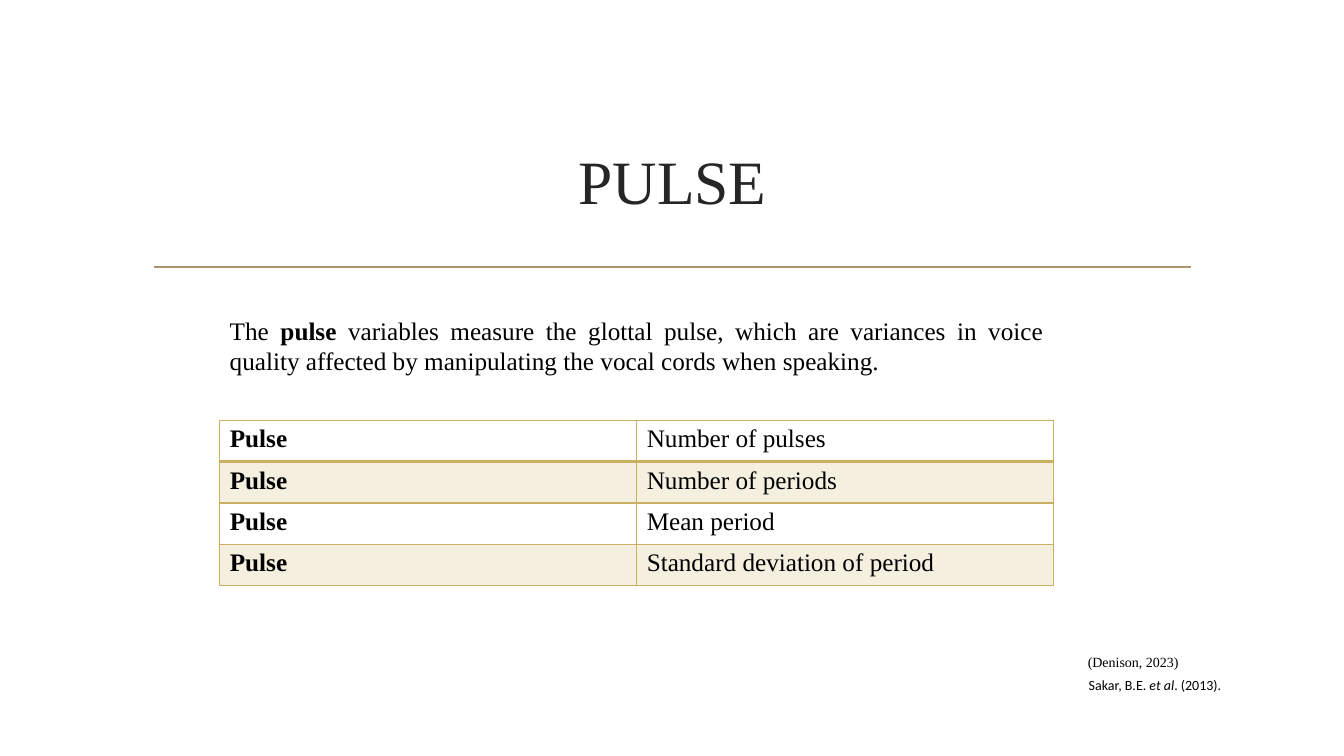
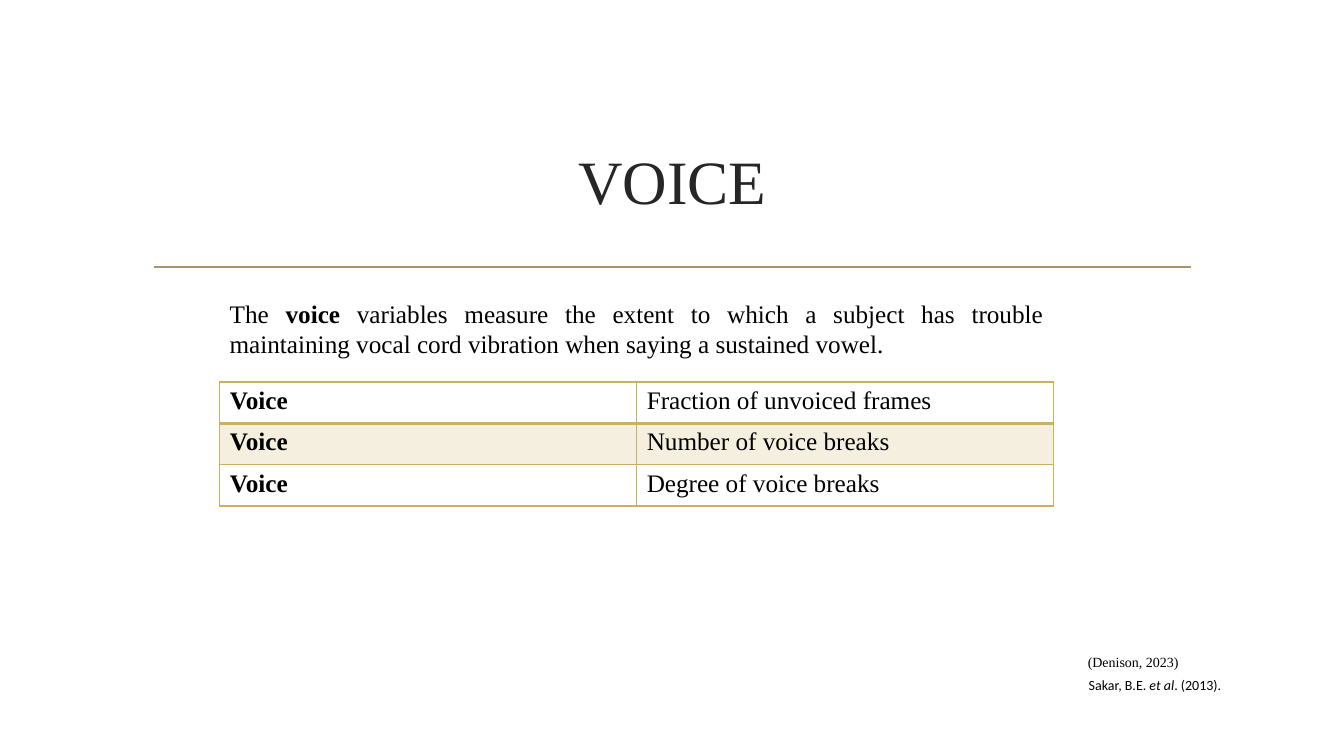
from lxml.etree import SubElement as Sub
from pptx import Presentation
from pptx.dml.color import RGBColor
from pptx.enum.shapes import MSO_CONNECTOR as Link
from pptx.enum.text import MSO_ANCHOR as Anchor, MSO_AUTO_SIZE as Fit, PP_ALIGN as Align
from pptx.oxml.ns import qn
from pptx.util import Inches, Pt

# Shared style
SERIF, SANS = "Times New Roman", "Calibri"
INK, BLACK, RULE, GOLD, CREAM = "262626", "000000", "AB946B", "CBAF62", "F5EFE0"
hue = RGBColor.from_string
LEFT, WIDE, ROW = 2.18, 8.27, 0.41

# Footer notes: left, top, width, font, runs (text, italic)
NOTES = [
    (10.7, 6.66, 1.64, SANS, [("Sakar, B.E. ", False), ("et al", True), (". (2013).", False)]),
    (10.69, 6.43, 1.18, SERIF, [("(Denison, 2023)", False)]),
]

# Slides: group, text top, table top, description, table entries
TOPICS = [
    ("Pulse", 3.08, 4.17,
     " variables measure the glottal pulse, which are variances in voice quality "
     "affected by manipulating the vocal cords when speaking.",
     ["Number of pulses", "Number of periods", "Mean period", "Standard deviation of period"]),
    ("Voice", 2.91, 3.79,
     " variables measure the extent to which a subject has trouble maintaining "
     "vocal cord vibration when saying a sustained vowel.",
     ["Fraction of unvoiced frames", "Number of voice breaks", "Degree of voice breaks"]),
]


def write(par, text, size=18, face=SERIF, color=BLACK, bold=False, italic=False):
    run = par.add_run()
    run.text = text
    font = run.font
    font.name, font.size, font.bold, font.italic = face, Pt(size), bold, italic
    font.color.rgb = hue(color)


def add_box(slide, left, top, width, height):
    box = slide.shapes.add_textbox(Inches(left), Inches(top), Inches(width), Inches(height))
    box.text_frame.word_wrap = True
    box.text_frame.auto_size = Fit.SHAPE_TO_FIT_TEXT
    return box.text_frame.paragraphs[0]


deck = Presentation()
deck.slide_width, deck.slide_height = Inches(13.33), Inches(7.5)

for group, text_top, grid_top, about, items in TOPICS:
    slide = deck.slides.add_slide(deck.slide_layouts[5])

    # Rule under the title
    rule = slide.shapes.add_connector(
        Link.STRAIGHT, Inches(1.53), Inches(2.65), Inches(11.81), Inches(2.65))
    rule.line.color.rgb = hue(RULE)
    rule.line.width = Pt(1.25)
    Sub(rule._element.spPr, qn("a:effectLst"))

    # Title
    title = slide.shapes.title
    title.left, title.top = Inches(1.42), Inches(1.07)
    title.width, title.height = Inches(10.5), Inches(1.43)
    title.text_frame.vertical_anchor = Anchor.MIDDLE
    par = title.text_frame.paragraphs[0]
    par.alignment = Align.CENTER
    write(par, group.upper(), 44, color=INK)

    # Description
    par = add_box(slide, LEFT, text_top, WIDE, 0.71)
    par.alignment = Align.JUSTIFY
    write(par, "The ")
    write(par, group.lower(), bold=True)
    write(par, about)

    # Table of variables
    grid = slide.shapes.add_table(
        len(items), 2, Inches(LEFT), Inches(grid_top),
        Inches(WIDE), Inches(ROW * len(items))).table
    grid.first_row = grid.horz_banding = False
    for r, item in enumerate(items):
        for c, text in enumerate((group, item)):
            cell = grid.cell(r, c)
            write(cell.text_frame.paragraphs[0], text, bold=c == 0)
            props = cell._tc.get_or_add_tcPr()
            for side in "LRTB":
                thick = (r, side) in ((0, "B"), (1, "T"))
                edge = Sub(props, qn(f"a:ln{side}"), w=str(Pt(2 if thick else 1)))
                Sub(Sub(edge, qn("a:solidFill")), qn("a:srgbClr"), val=GOLD)
            if r % 2:
                cell.fill.solid()
                cell.fill.fore_color.rgb = hue(CREAM)
            else:
                cell.fill.background()

    # Footer notes
    for left, top, width, face, runs in NOTES:
        par = add_box(slide, left, top, width, 0.27)
        for text, italic in runs:
            write(par, text, 10, face, italic=italic)

deck.save("out.pptx")
